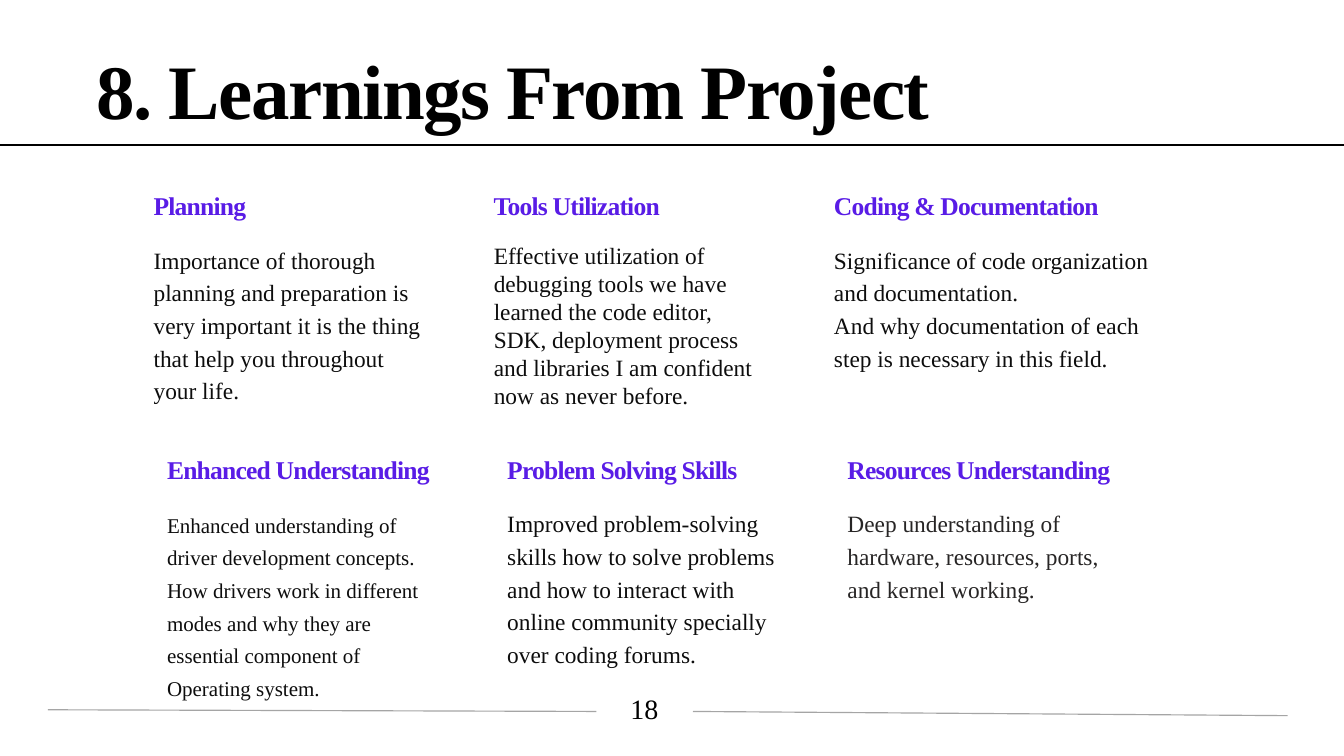
"""Build the slide on learnings from the project."""
import pptx
import pptx.dml.color
import pptx.enum.shapes
import pptx.enum.text
import pptx.oxml
import pptx.oxml.ns
import pptx.util
from pptx.util import Inches, Pt

BLACK = pptx.dml.color.RGBColor(0x00, 0x00, 0x00)
PURPLE = pptx.dml.color.RGBColor(0x59, 0x1C, 0xE6)
INK = pptx.dml.color.RGBColor(0x0D, 0x0D, 0x0D)
CHARCOAL = pptx.dml.color.RGBColor(0x27, 0x25, 0x25)
GRAY = pptx.dml.color.RGBColor(0xA5, 0xA5, 0xA5)
FONT = "Times New Roman"

TITLE = "8. Learnings From Project"
PAGE_NUMBER = "18"

# Each topic: heading, body, body width, body size, line pitch, body colour
ROWS = [
    (1.73, 2.2, [
        ("Planning",
         "Importance of thorough planning and preparation is very important "
         "it is the thing that help you throughout your life.",
         3.45, 20, 28, INK),
        ("Tools Utilization",
         "Effective utilization of debugging tools we have learned the code editor, "
         "SDK, deployment process and libraries I am confident now as never before.",
         3.45, 20, 24, INK),
        ("Coding & Documentation",
         "Significance of code organization and documentation.\n"
         "And why documentation of each step is necessary in this field.",
         3.95, 20, 28, INK),
    ]),
    (1.89, 5.34, [
        ("Enhanced Understanding",
         "Enhanced understanding of driver development concepts. How drivers work "
         "in different modes and why they are essential component of Operating system.",
         3.45, 18, 28, INK),
        ("Problem Solving Skills",
         "Improved problem-solving skills how to solve problems and how to interact "
         "with online community specially over coding forums.",
         3.45, 20, 28, INK),
        ("Resources Understanding",
         "Deep understanding of hardware, resources, ports, and kernel working.",
         3.45, 20, 28, CHARCOAL),
    ]),
]
COLUMN_PITCH = 4.05
BODY_OFFSET = 0.62

RULES = [
    (0.57, 8.45, 7.1, 8.47, GRAY, 1),
    (8.25, 8.47, 15.33, 8.52, GRAY, 1),
    (0, 1.73, 16, 1.73, BLACK, 1.5),
]


def write(shape, text, size, color, pitch=None, bold=False, tracking=0,
          alignment=pptx.enum.text.PP_ALIGN.LEFT):
    """Fill a shape with text in one style."""
    frame = shape.text_frame
    frame.text = text
    frame.word_wrap = True
    frame.auto_size = pptx.enum.text.MSO_AUTO_SIZE.NONE
    frame.vertical_anchor = pptx.enum.text.MSO_ANCHOR.TOP
    for paragraph in frame.paragraphs:
        paragraph.alignment = alignment
        if pitch:
            paragraph.line_spacing = Pt(pitch)
        for run in paragraph.runs:
            run.font.name = FONT
            run.font.size = Pt(size)
            run.font.bold = bold
            run.font.color.rgb = color
            if tracking:
                run._r.get_or_add_rPr().set("spc", str(round(tracking * 100)))


def add_text(slide, left, top, width, height, *style, **options):
    """Add a text box and write into it."""
    box = slide.shapes.add_textbox(
        Inches(left), Inches(top), Inches(width), Inches(height))
    write(box, *style, **options)


def add_rule(slide, x1, y1, x2, y2, color, weight):
    """Add a plain straight line."""
    line = slide.shapes.add_connector(
        pptx.enum.shapes.MSO_CONNECTOR.STRAIGHT,
        Inches(x1), Inches(y1), Inches(x2), Inches(y2))
    line.line.color.rgb = color
    line.line.width = Pt(weight)
    line._element.spPr.append(
        pptx.oxml.parse_xml(f"<a:effectLst {pptx.oxml.ns.nsdecls('a')}/>"))


def main():
    """Lay out the title, topics, page number and rules."""
    presentation = pptx.Presentation()
    presentation.slide_width = Inches(16)
    presentation.slide_height = Inches(9)
    slide = presentation.slides.add_slide(presentation.slide_layouts[5])

    title = slide.shapes.title
    title.left, title.top = Inches(1.05), Inches(0.8)
    title.width, title.height = Inches(10.6), Inches(0.9)
    write(title, TITLE, 66, BLACK, pitch=54.7, bold=True, tracking=-1.3)

    for row_left, top, topics in ROWS:
        for column, (heading, body, width, size, pitch, color) in enumerate(topics):
            left = row_left + column * COLUMN_PITCH
            add_text(slide, left, top, 3.63, 0.38, heading, 21.9, PURPLE,
                     pitch=27.3, bold=True, tracking=-0.7)
            add_text(slide, left, top + BODY_OFFSET, width, 2.22, body, size, color,
                     pitch=pitch)

    add_text(slide, 7.26, 8.18, 0.82, 0.67, PAGE_NUMBER, 24, BLACK,
             alignment=pptx.enum.text.PP_ALIGN.CENTER)
    for rule in RULES:
        add_rule(slide, *rule)

    presentation.save("out.pptx")


if __name__ == "__main__":
    main()
